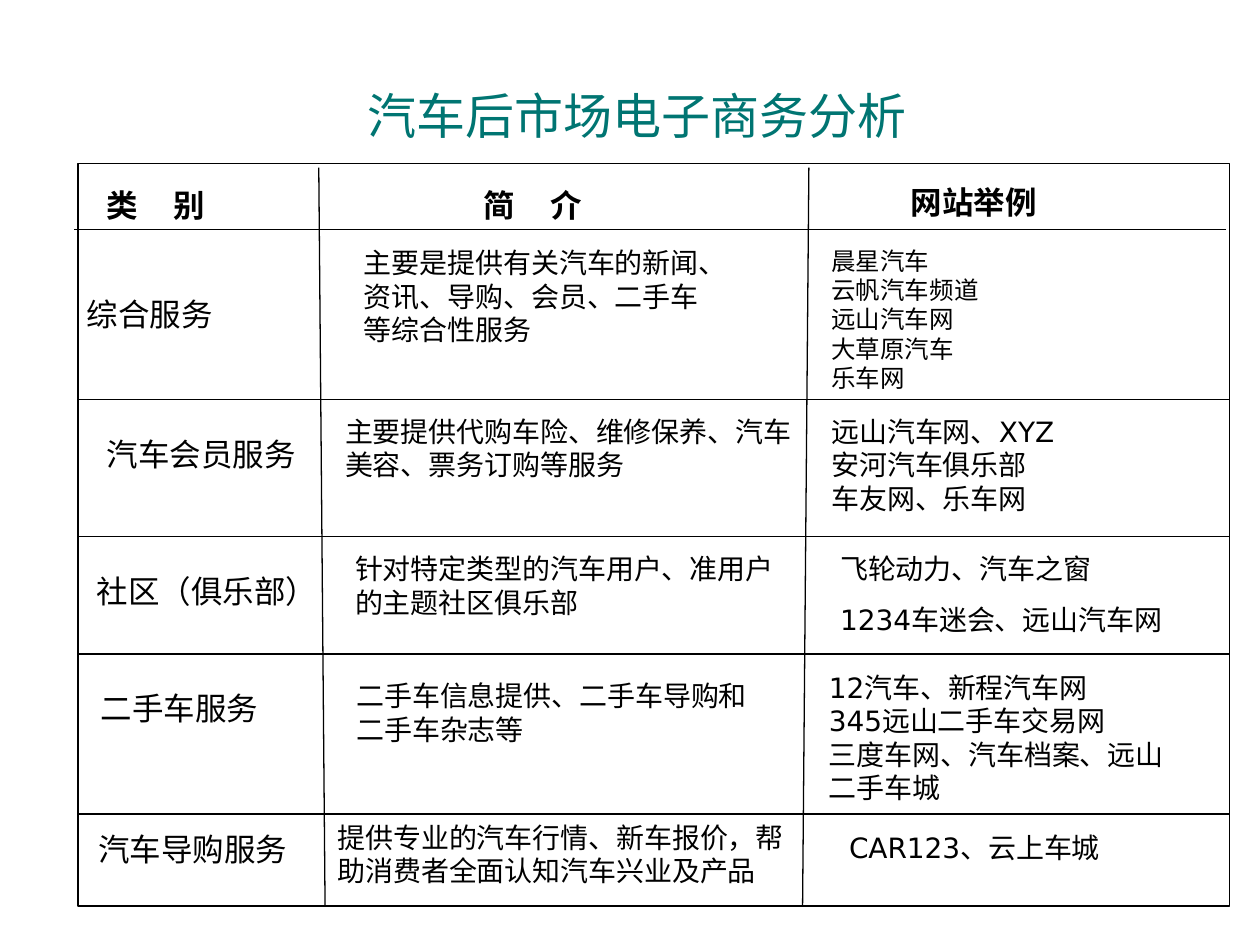
from lxml.etree import SubElement
from pptx import Presentation
from pptx.dml.color import RGBColor
from pptx.enum.shapes import MSO_CONNECTOR as Connector, MSO_SHAPE as Shape
from pptx.enum.text import MSO_ANCHOR as Anchor, MSO_AUTO_SIZE as AutoSize, PP_ALIGN as Align
from pptx.oxml.ns import qn
from pptx.util import Inches, Pt

TEAL = RGBColor(0x00, 0x75, 0x72)
BLACK = RGBColor(0, 0, 0)
WHITE = RGBColor(255, 255, 255)
FONT = "DejaVu Sans"

HEADING = "汽车后市场电子商务分析"

HEADERS = [
    (0.75, 1.43, 3.07, "类\t别"),
    (3.74, 1.43, 3.07, "简\t介"),
    (7.13, 1.4, 2.87, "网站举例"),
]
CATEGORIES = [
    (0.59, 2.29, 3.07, "综合服务"),
    (0.75, 3.4, 2.68, "汽车会员服务"),
    (0.67, 4.49, 2.68, "社区（俱乐部）"),
    (0.7, 5.42, 2.05, "二手车服务"),
    (0.68, 6.54, 2.84, "汽车导购服务"),
]
SUMMARIES = [
    (2.79, 1.9, 3.07, "主要是提供有关汽车的新闻、资讯、导购、会员、二手车等综合性服务"),
    (2.64, 3.24, 3.94, "主要提供代购车险、维修保养、汽车美容、票务订购等服务"),
    (2.72, 4.33, 3.54, "针对特定类型的汽车用户、准用户的主题社区俱乐部"),
    (2.73, 5.34, 3.47, "二手车信息提供、二手车导购和二手车杂志等"),
    (2.58, 6.46, 3.78, "提供专业的汽车行情、新车报价，帮助消费者全面认知汽车兴业及产品"),
]
SITES = [
    (6.5, 1.9, 3.07, 14, 0, ["晨星汽车", "云帆汽车频道", "远山汽车网", "大草原汽车", "乐车网"]),
    (6.5, 3.24, 2.6, 16, 0, ["远山汽车网、XYZ", "安河汽车俱乐部", "车友网、乐车网"]),
    (6.57, 4.33, 2.96, 16, 10, ["飞轮动力、汽车之窗", "1234车迷会、远山汽车网"]),
    (6.48, 5.27, 2.91, 16, 0, ["12汽车、新程汽车网", "345远山二手车交易网", "三度车网、汽车档案、远山二手车城"]),
    (6.64, 6.54, 2.56, 16, 0, ["CAR123、云上车城"]),
]

LEFT, TOP, WIDTH, HEIGHT = 0.62, 1.3, 9.14, 5.89
BOTTOM = TOP + HEIGHT
ROW_LINES = [(0.59, 1.82), (LEFT, 3.17), (LEFT, 4.26), (LEFT, 5.19), (LEFT, 6.46)]
COLUMN_LINES = [(2.53, 2.58), (6.42, 6.37)]
HEADER_TAB = Inches(0.53)


def add_rule(slide, x1, y1, x2, y2):
    rule = slide.shapes.add_connector(
        Connector.STRAIGHT, Inches(x1), Inches(y1), Inches(x2), Inches(y2))
    rule.line.color.rgb = BLACK
    rule.line.width = Pt(0.75)
    SubElement(rule._element.spPr, qn("a:effectLst"))


def add_entry(slide, left, top, width, lines, size, gap=0, bold=False):
    entry = slide.shapes.add_textbox(Inches(left), Inches(top), Inches(width), Inches(0.4))
    frame = entry.text_frame
    frame.word_wrap = True
    frame.auto_size = AutoSize.SHAPE_TO_FIT_TEXT
    frame.text = "\n".join(lines)
    for index, paragraph in enumerate(frame.paragraphs):
        if index and gap:
            paragraph.space_before = Pt(gap)
        if "\t" in lines[index]:
            tabs = SubElement(paragraph._p.get_or_add_pPr(), qn("a:tabLst"))
            SubElement(tabs, qn("a:tab"), pos=str(HEADER_TAB), algn="l")
        font = paragraph.font
        font.name = FONT
        font.size = Pt(size)
        font.bold = bold
        font.color.rgb = BLACK
    line_height = size * 1.2 / 72
    entry.height = Inches(round(0.1 + line_height * len(lines), 2))


def main():
    deck = Presentation()
    deck.slide_width, deck.slide_height = Inches(10), Inches(7.5)
    slide = deck.slides.add_slide(deck.slide_layouts[5])
    slide.background.fill.solid()
    slide.background.fill.fore_color.rgb = WHITE

    title = slide.shapes.title
    title.left, title.top, title.width, title.height = map(Inches, (1.21, 0.39, 7.69, 1.04))
    title.text_frame.text = HEADING
    title.text_frame.vertical_anchor = Anchor.MIDDLE
    heading = title.text_frame.paragraphs[0]
    heading.alignment = Align.CENTER
    heading.font.name = "Arial"
    heading.font.size = Pt(28)
    heading.font.color.rgb = TEAL

    border = slide.shapes.add_shape(Shape.RECTANGLE, *map(Inches, (LEFT, TOP, WIDTH, HEIGHT)))
    border.shadow.inherit = False
    border.fill.background()
    border.line.color.rgb = BLACK
    border.line.width = Pt(0.75)

    for x, y in ROW_LINES:
        add_rule(slide, x, y, x + WIDTH, y)
    for x_top, x_bottom in COLUMN_LINES:
        add_rule(slide, x_top, 1.33, x_bottom, BOTTOM)

    for entries, size, bold in ((HEADERS, 18, True), (CATEGORIES, 18, False), (SUMMARIES, 16, False)):
        for left, top, width, wording in entries:
            add_entry(slide, left, top, width, [wording], size, bold=bold)
    for left, top, width, size, gap, names in SITES:
        add_entry(slide, left, top, width, names, size, gap)

    deck.save("out.pptx")


if __name__ == "__main__":
    main()
